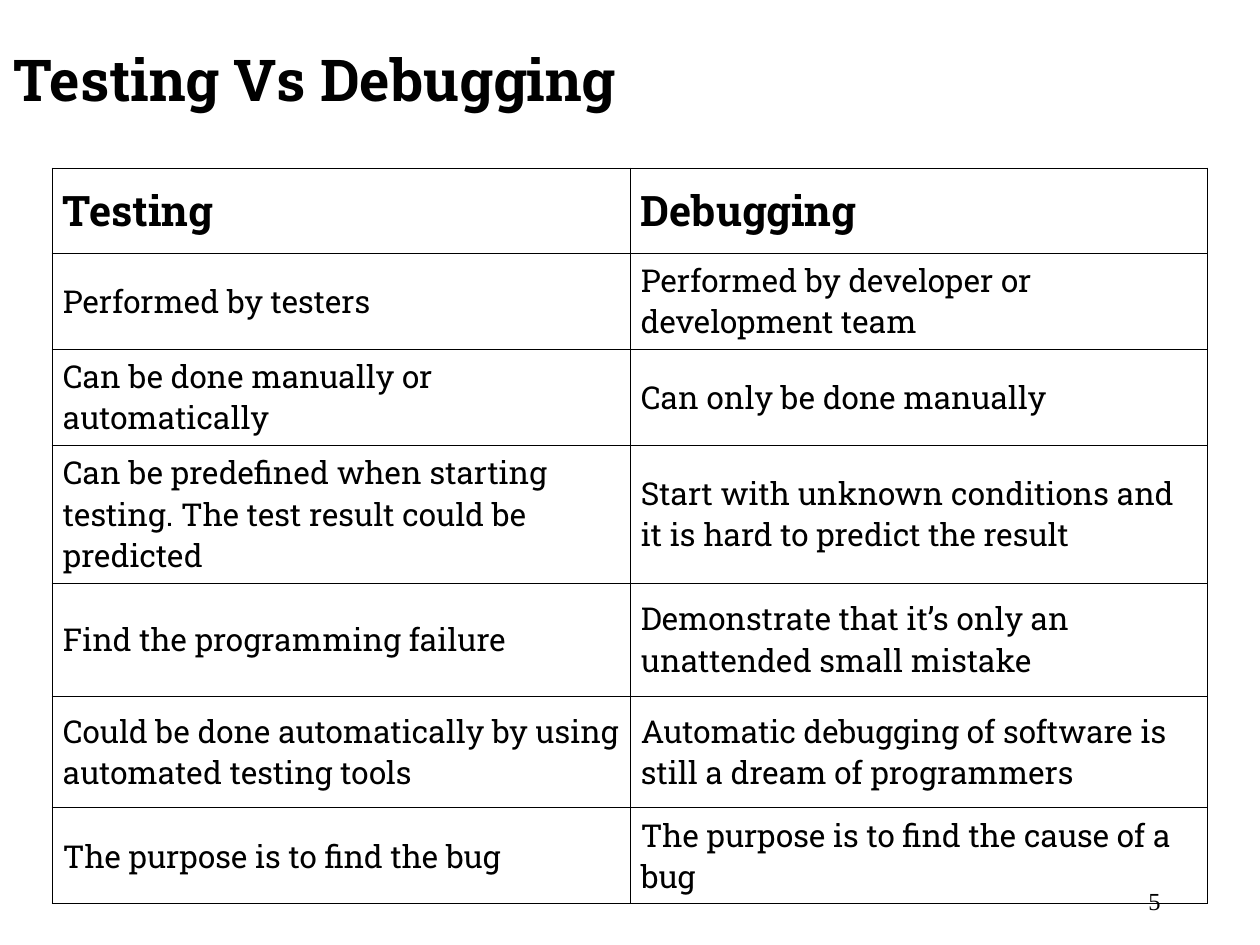
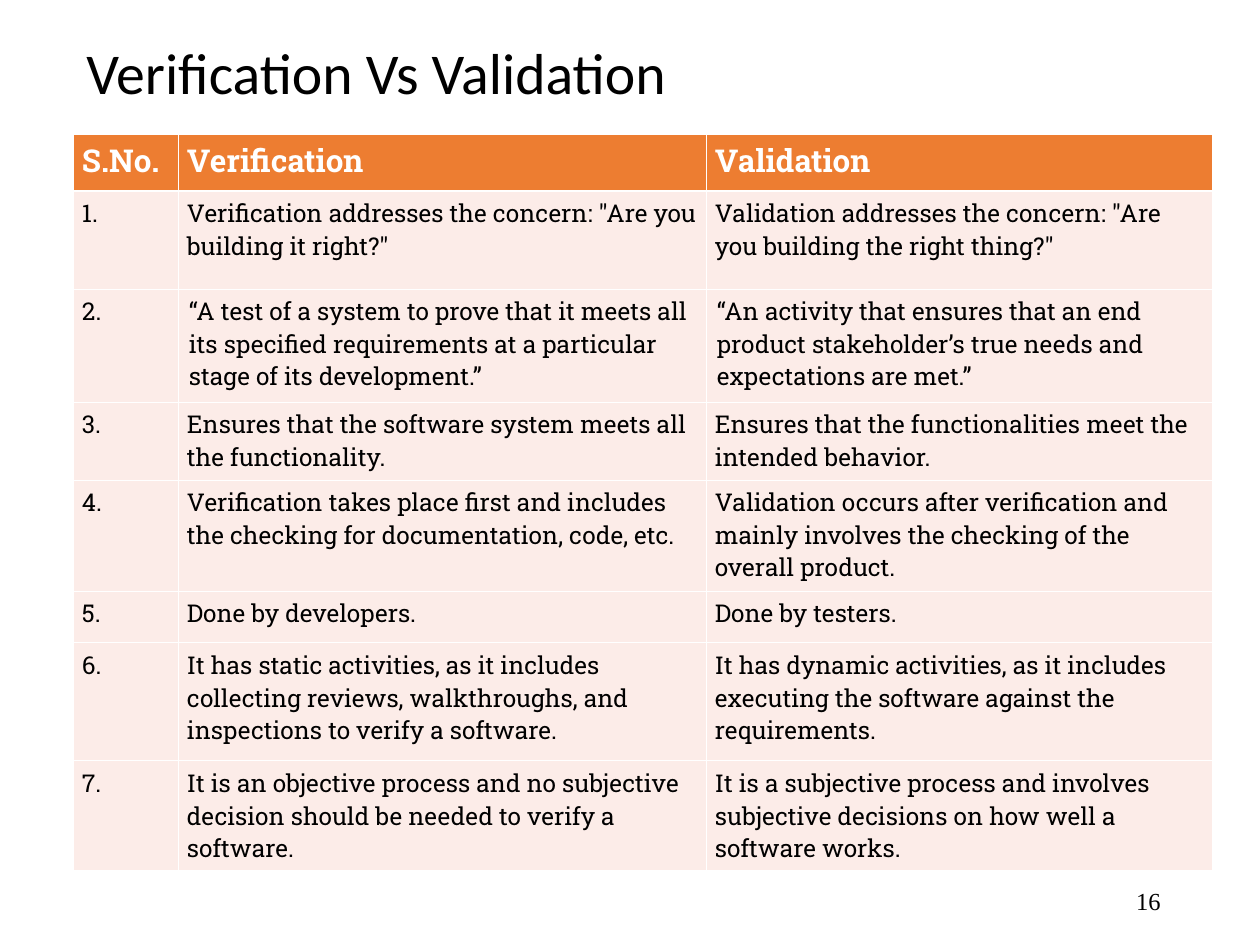
from lxml.etree import SubElement
from pptx import Presentation
from pptx.dml.color import RGBColor
from pptx.enum.text import MSO_ANCHOR as Anchor, PP_ALIGN as Align
from pptx.oxml.ns import qn
from pptx.util import Pt

PX = 914400 // 126
COLORS = {
    "ink": "000000",
    "paper": "FFFFFF",
    "header": "ED7D31",
    "body": "FCECE8",
}
SLAB, SANS, SERIF = "Roboto Slab", "Calibri", "Times New Roman"
TITLE_SIZE, NUMBER_SIZE = 33, 14
THIN, THICK = 0.45, 1.47
NUMBER_BOX = (889, 876, 284, 50)

DEBUGGING_ROWS = [
    ("Testing", "Debugging"),
    ("Performed by testers", "Performed by developer or development team"),
    ("Can be done manually or automatically", "Can only be done manually"),
    ("Can be predefined when starting testing. The test result could be predicted",
     "Start with unknown conditions and it is hard to predict the result"),
    ("Find the programming failure",
     "Demonstrate that it’s only an unattended small mistake"),
    ("Could be done automatically by using automated testing tools",
     "Automatic debugging of software is still a dream of programmers"),
    ("The purpose is to find the bug", "The purpose is to find the cause of a bug"),
]
VALIDATION_HEADER = ("S.No.", "Verification", "Validation")
VALIDATION_PAIRS = [
    ('Verification addresses the concern: "Are you building it right?"',
     'Validation addresses the concern: "Are you building the right thing?"'),
    ("“A test of a system to prove that it meets all its specified requirements "
     "at a particular stage of its development.”",
     "“An activity that ensures that an end product stakeholder’s true needs "
     "and expectations are met.”"),
    ("Ensures that the software system meets all the functionality.",
     "Ensures that the functionalities meet the intended behavior."),
    ("Verification takes place first and includes the checking for documentation, "
     "code, etc.",
     "Validation occurs after verification and mainly involves the checking of the "
     "overall product."),
    ("Done by developers.", "Done by testers."),
    ("It has static activities, as it includes collecting reviews, walkthroughs, "
     "and inspections to verify a software.",
     "It has dynamic activities, as it includes executing the software against "
     "the requirements."),
    ("It is an objective process and no subjective decision should be needed to "
     "verify a software.",
     "It is a subjective process and involves subjective decisions on how well a "
     "software works."),
]


def write(text_frame, text, size, font_name, color="ink", bold=False):
    paragraph = text_frame.paragraphs[0]
    run = paragraph.add_run()
    run.text = text
    run.font.size = Pt(size)
    run.font.name = font_name
    run.font.bold = bold
    run.font.color.rgb = RGBColor.from_string(COLORS[color])
    return paragraph


def add_text_box(slide, box, text, size, font_name, bold=False):
    shape = slide.shapes.add_textbox(*(length * PX for length in box))
    text_frame = shape.text_frame
    text_frame.word_wrap = True
    text_frame.vertical_anchor = Anchor.MIDDLE
    return write(text_frame, text, size, font_name, bold=bold)


def add_title(slide, box, text, font_name, bold=False):
    paragraph = add_text_box(slide, box, text, TITLE_SIZE, font_name, bold)
    paragraph.line_spacing = 0.9


def add_slide_number(slide, number):
    paragraph = add_text_box(slide, NUMBER_BOX, str(number), NUMBER_SIZE, SERIF)
    paragraph.alignment = Align.RIGHT


def add_borders(cell, color, top=THIN, bottom=THIN):
    properties = cell._tc.get_or_add_tcPr()
    widths = {"a:lnL": THIN, "a:lnR": THIN, "a:lnT": top, "a:lnB": bottom}
    for tag, width in widths.items():
        line = SubElement(properties, qn(tag), w=str(Pt(width)))
        fill = SubElement(line, qn("a:solidFill"))
        SubElement(fill, qn("a:srgbClr"), val=COLORS[color])


def add_grid(slide, left, top, widths, heights):
    """Add a table without style banding, sized by its columns and rows."""
    frame = slide.shapes.add_table(
        len(heights), len(widths), left * PX, top * PX,
        sum(widths) * PX, sum(heights) * PX)
    table = frame.table
    table.first_row = table.horz_banding = False
    for column, width in zip(table.columns, widths):
        column.width = width * PX
    for row, height in zip(table.rows, heights):
        row.height = height * PX
    return table


def fill_cell(cell, text, size, inset, color="ink", bold=False, fill=None):
    cell.margin_left = inset * PX
    cell.margin_right = 9 * PX
    cell.margin_top = cell.margin_bottom = 6 * PX
    if fill:
        cell.fill.solid()
        cell.fill.fore_color.rgb = RGBColor.from_string(COLORS[fill])
    else:
        cell.fill.background()
    write(cell.text_frame, text, size, SLAB, color, bold)


def add_debugging_table(slide, left, top):
    heights = [85, 96, 96, 138, 113, 112, 96]
    table = add_grid(slide, left, top, [578, 577], heights)
    for row, texts in enumerate(DEBUGGING_ROWS):
        for column, text in enumerate(texts):
            cell = table.cell(row, column)
            add_borders(cell, "ink")
            is_header = row == 0
            fill_cell(cell, text, 24 if is_header else 18, 11, bold=is_header)
            cell.vertical_anchor = Anchor.MIDDLE


def add_validation_table(slide, left, top):
    heights = [57, 98, 113, 78, 111, 52, 118, 110]
    table = add_grid(slide, left, top, [105, 528, 506], heights)
    for column, text in enumerate(VALIDATION_HEADER):
        cell = table.cell(0, column)
        add_borders(cell, "paper", bottom=THICK)
        fill_cell(cell, text, 18, 9, "paper", bold=True, fill="header")
    for row, pair in enumerate(VALIDATION_PAIRS, start=1):
        for column, text in enumerate((f"{row}.", *pair)):
            cell = table.cell(row, column)
            add_borders(cell, "paper", top=THICK if row == 1 else THIN)
            inset = 11 if text.startswith("“") else 9
            fill_cell(cell, text, 14, inset, fill="body")


def add_blank_slide(presentation):
    slide = presentation.slides.add_slide(presentation.slide_layouts[6])
    background = slide.background.fill
    background.solid()
    background.fore_color.rgb = RGBColor.from_string(COLORS["paper"])
    return slide


def build_debugging_slide(presentation):
    slide = add_blank_slide(presentation)
    add_title(slide, (1, 26, 1071, 113), "Testing Vs Debugging", SLAB, bold=True)
    add_debugging_table(slide, 52, 168)
    add_slide_number(slide, 5)


def build_validation_slide(presentation):
    slide = add_blank_slide(presentation)
    add_title(slide, (74, -3, 1071, 157), "Verification Vs Validation", SANS)
    add_validation_table(slide, 73, 134)
    add_slide_number(slide, 16)


def main():
    presentation = Presentation()
    presentation.slide_width = 1260 * PX
    presentation.slide_height = 945 * PX
    build_debugging_slide(presentation)
    build_validation_slide(presentation)
    presentation.save("out.pptx")


if __name__ == "__main__":
    main()
